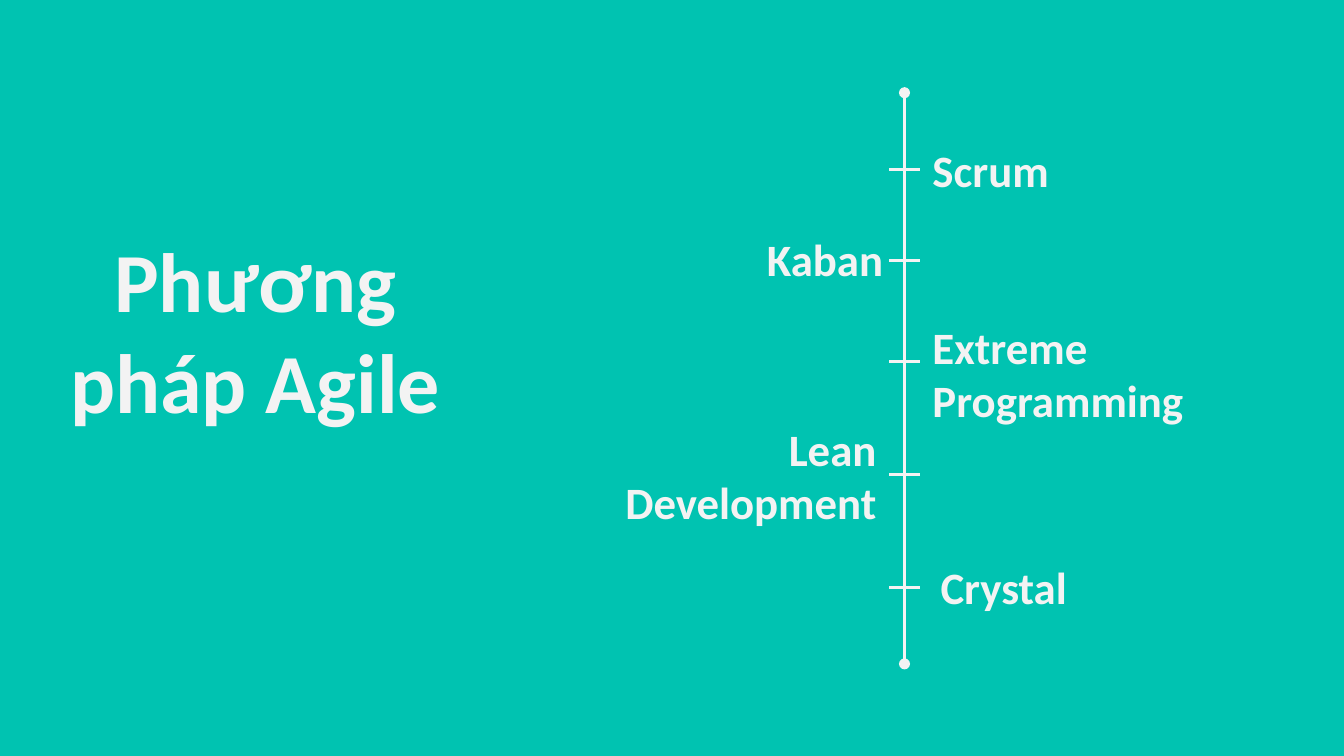
from lxml import etree
from pptx import Presentation
from pptx.dml.color import RGBColor
from pptx.enum.shapes import MSO_CONNECTOR
from pptx.enum.text import MSO_ANCHOR, PP_ALIGN
from pptx.oxml.ns import qn
from pptx.util import Inches, Pt

TEAL = RGBColor(0x00, 0xC3, 0xB1)
OFF_WHITE = RGBColor(0xF3, 0xF3, 0xF3)
FONT = "Calibri"
LABEL_WIDTH, LABEL_HEIGHT = 2.26, 0.69
TICK_WIDTH = 0.23

METHODS = [
    ("Scrum", PP_ALIGN.LEFT, 0.57, 0.11, 0.23),
    ("Kaban", PP_ALIGN.RIGHT, 1.25, -2.32, 0.89),
    ("Extreme Programming", PP_ALIGN.LEFT, 2.0, 0.11, 1.74),
    ("Lean Development", PP_ALIGN.RIGHT, 2.84, -2.37, 2.5),
    ("Crystal", PP_ALIGN.LEFT, 3.68, 0.17, 3.33),
]


def add_text(slide, wording, left, top, width, height, size, align, anchor):
    box = slide.shapes.add_textbox(
        Inches(left), Inches(top), Inches(width), Inches(height))
    frame = box.text_frame
    frame.word_wrap = True
    frame.vertical_anchor = anchor
    frame.margin_left = frame.margin_right = Inches(0.1)
    frame.margin_top = frame.margin_bottom = Inches(0.1)
    paragraph = frame.paragraphs[0]
    paragraph.alignment = align
    run = paragraph.add_run()
    run.text = wording
    run.font.name = FONT
    run.font.size = Pt(size)
    run.font.bold = True
    run.font.color.rgb = OFF_WHITE


def add_line(slide, x1, y1, x2, y2, round_ends=False):
    line = slide.shapes.add_connector(
        MSO_CONNECTOR.STRAIGHT, Inches(x1), Inches(y1), Inches(x2), Inches(y2))
    line.line.color.rgb = OFF_WHITE
    line.line.width = Pt(1.5)
    properties = line._element.spPr
    if round_ends:
        outline = properties.find(qn("a:ln"))
        for end in ("a:headEnd", "a:tailEnd"):
            etree.SubElement(outline, qn(end), type="oval")
    etree.SubElement(properties, qn("a:effectLst"))


def add_title(slide, left, top, width, height):
    add_text(slide, "Phương pháp Agile", left, top, width, height,
             45, PP_ALIGN.CENTER, MSO_ANCHOR.TOP)


def add_timeline(slide, axis, top, height):
    add_line(slide, axis, top, axis, top + height, round_ends=True)
    for method, align, tick, label_left, label_top in METHODS:
        add_line(slide, axis - TICK_WIDTH / 2, top + tick,
                 axis + TICK_WIDTH / 2, top + tick)
        add_text(slide, method, axis + label_left, top + label_top,
                 LABEL_WIDTH, LABEL_HEIGHT, 24, align, MSO_ANCHOR.MIDDLE)


def main():
    deck = Presentation()
    deck.slide_width = Inches(10)
    deck.slide_height = deck.slide_width * 9 // 16
    slide = deck.slides.add_slide(deck.slide_layouts[6])
    background = slide.background.fill
    background.solid()
    background.fore_color.rgb = TEAL
    add_title(slide, 0.39, 1.6, 3.02, 1.89)
    add_timeline(slide, 6.73, 0.69, 4.25)
    deck.save("out.pptx")


if __name__ == "__main__":
    main()
